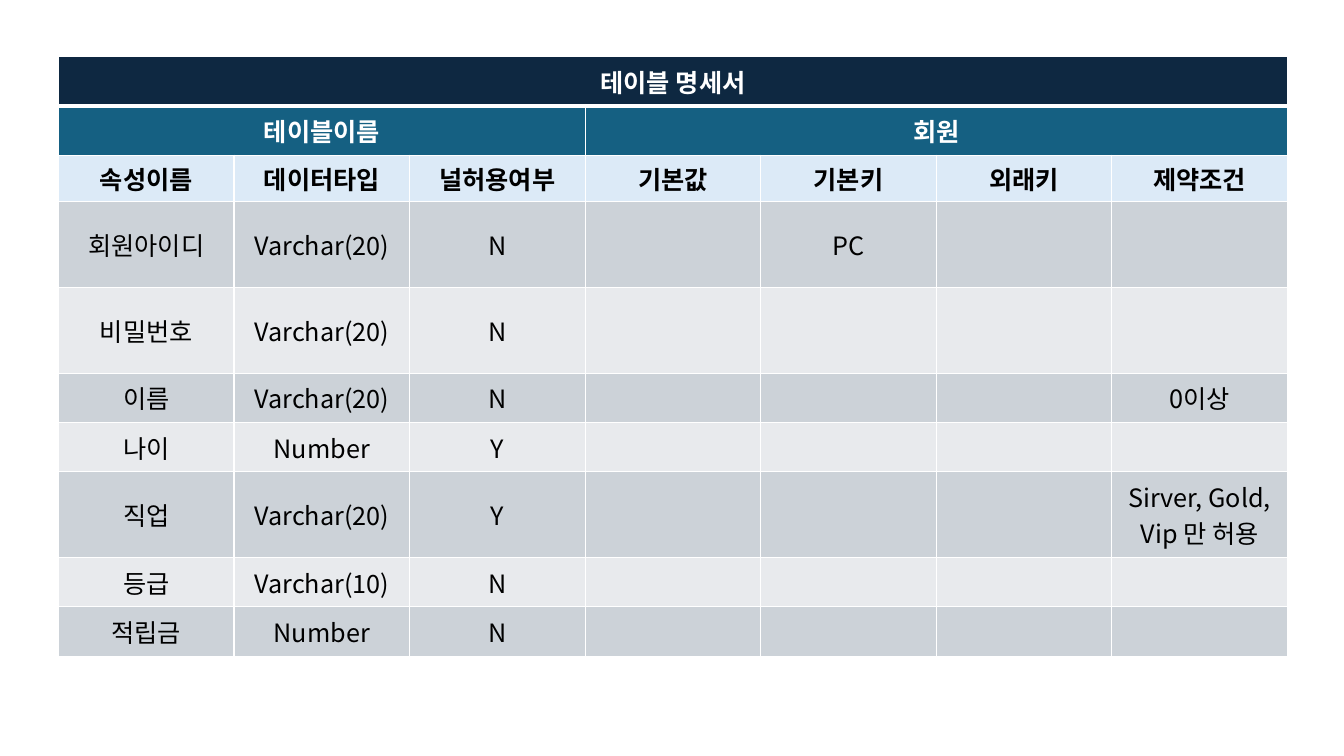
from pptx import Presentation
from pptx.dml.color import RGBColor
from pptx.enum.text import MSO_ANCHOR, PP_ALIGN
from pptx.oxml.ns import qn
from pptx.util import Inches, Pt
from lxml.etree import SubElement

FONT = "Noto Sans CJK KR"
WHITE = RGBColor(0xFF, 0xFF, 0xFF)
BLACK = RGBColor(0x00, 0x00, 0x00)
NAVY = RGBColor(0x0E, 0x28, 0x41)
TEAL = RGBColor(0x15, 0x60, 0x82)
PALE_BLUE = RGBColor(0xDC, 0xEA, 0xF7)
GRAY = RGBColor(0xCC, 0xD2, 0xD8)
LIGHT_GRAY = RGBColor(0xE8, 0xEA, 0xED)

ROWS = [
    ("테이블 명세서", "", "", "", "", "", ""),
    ("테이블이름", "", "", "회원", "", "", ""),
    ("속성이름", "데이터타입", "널허용여부", "기본값", "기본키", "외래키", "제약조건"),
    ("회원아이디", "Varchar(20)", "N", "", "PC", "", ""),
    ("비밀번호", "Varchar(20)", "N", "", "", "", ""),
    ("이름", "Varchar(20)", "N", "", "", "", "0이상"),
    ("나이", "Number", "Y", "", "", "", ""),
    ("직업", "Varchar(20)", "Y", "", "", "", "Sirver, Gold, Vip 만 허용"),
    ("등급", "Varchar(10)", "N", "", "", "", ""),
    ("적립금", "Number", "N", "", "", "", ""),
]
HEIGHTS = [0.49, 0.49, 0.46, 0.85, 0.85, 0.49, 0.49, 0.85, 0.49, 0.49]
MERGES = [(0, 0, 6), (1, 0, 2), (1, 3, 6)]
HEADER_STYLES = [(NAVY, WHITE), (TEAL, WHITE), (PALE_BLUE, BLACK)]
LEFT, TOP, WIDTH = 0.58, 0.56, 12.19


def add_text(cell, text, size=18, bold=False, color=BLACK):
    cell.vertical_anchor = MSO_ANCHOR.MIDDLE
    p = cell.text_frame.paragraphs[0]
    p.alignment = PP_ALIGN.CENTER
    r = p.add_run()
    r.text = text
    r.font.size = Pt(size)
    r.font.bold = bold
    r.font.name = FONT
    r.font.color.rgb = color
    SubElement(r.font._element, qn("a:ea"), typeface=FONT)


def set_borders(cell, top=1, bottom=1):
    tc_pr = cell._tc.get_or_add_tcPr()
    for side, width in (("L", 1), ("R", 1), ("T", top), ("B", bottom)):
        ln = SubElement(tc_pr, qn(f"a:ln{side}"), w=str(Pt(width)))
        SubElement(SubElement(ln, qn("a:solidFill")), qn("a:srgbClr"), val=str(WHITE))


def main():
    prs = Presentation()
    prs.slide_width, prs.slide_height = Inches(13.33), Inches(7.5)
    s = prs.slides.add_slide(prs.slide_layouts[6])
    n_cols = len(ROWS[0])
    table = s.shapes.add_table(len(ROWS), n_cols, Inches(LEFT), Inches(TOP),
                               Inches(WIDTH), Inches(sum(HEIGHTS))).table
    for col in table.columns:
        col.width = Inches(WIDTH / n_cols)
    for row, height in zip(table.rows, HEIGHTS):
        row.height = Inches(height)
    for row, first, last in MERGES:
        table.cell(row, first).merge(table.cell(row, last))

    for i, texts in enumerate(ROWS):
        header = i < len(HEADER_STYLES)
        band = GRAY if i % 2 else LIGHT_GRAY
        fill, color = HEADER_STYLES[i] if header else (band, BLACK)
        for j, text in enumerate(texts):
            cell = table.cell(i, j)
            set_borders(cell, top=3 if i == 1 else 1, bottom=3 if i == 0 else 1)
            cell.fill.solid()
            cell.fill.fore_color.rgb = fill
            if text:
                add_text(cell, text, bold=header, color=color)

    prs.save("out.pptx")


if __name__ == "__main__":
    main()
